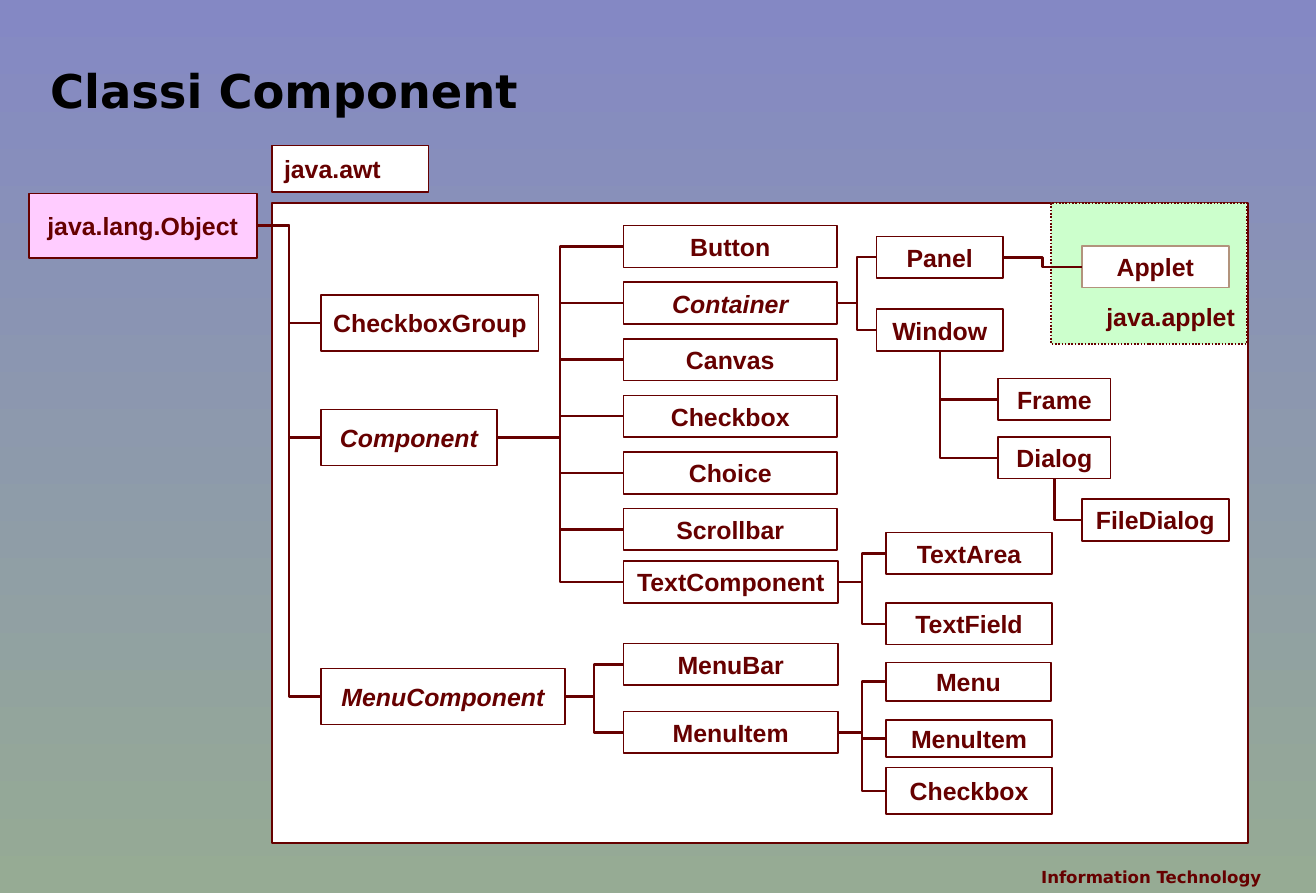
import dataclasses

import pptx
import pptx.dml.color
import pptx.enum.dml
import pptx.enum.shapes
import pptx.enum.text
import pptx.oxml.ns
import pptx.util
from lxml import etree

Inches = pptx.util.Inches
Points = pptx.util.Pt
Align = pptx.enum.text.PP_ALIGN
Anchor = pptx.enum.text.MSO_ANCHOR
RIGHT_SITE, BOTTOM_SITE, LEFT_SITE = 3, 2, 1


@dataclasses.dataclass(frozen=True)
class Theme:
    sky: str = "8488C4"
    sage: str = "96AB94"
    ink: str = "660000"
    black: str = "000000"
    white: str = "FFFFFF"
    pink: str = "FFCCFF"
    mint: str = "CCFFCC"
    tan: str = "B2937C"
    label_font: str = "Arial"
    heading_font: str = "DejaVu Sans"
    title_size: int = 28
    label_size: int = 15
    footer_size: int = 10
    box_line: float = 1
    link_line: float = 1.5


@dataclasses.dataclass
class ClassNode:
    name: str
    bounds: tuple
    children: list = dataclasses.field(default_factory=list)
    abstract: bool = False
    fill: str = Theme.white
    line: str = Theme.ink
    from_bottom: bool = False


def color(value):
    return pptx.dml.color.RGBColor.from_string(value)


def set_format(target, values):
    for name, value in values.items():
        setattr(target, name, value)


class Diagram:
    def __init__(self, slide, theme):
        self.slide = slide
        self.theme = theme

    def background(self):
        fill = self.slide.background.fill
        fill.gradient()
        fill.gradient_angle = 270
        for stop, value in zip(fill.gradient_stops, (self.theme.sky, self.theme.sage)):
            stop.color.rgb = color(value)

    def label(self, shape, text, frame_format, align=Align.CENTER, spacing=None, **font):
        set_format(shape.text_frame, frame_format)
        paragraph = shape.text_frame.paragraphs[0]
        set_format(paragraph, {"alignment": align, "line_spacing": spacing})
        run = paragraph.add_run()
        run.text = text
        run.font.color.rgb = color(font.pop("ink", self.theme.ink))
        set_format(run.font, {"name": self.theme.label_font, "bold": True,
                              "size": Points(self.theme.label_size), **font})

    def heading(self, bounds, text, size, insets=0, anchor=Anchor.TOP, **style):
        shape = self.slide.shapes.add_textbox(*map(Inches, bounds))
        frame_format = {"word_wrap": True, "vertical_anchor": anchor,
                        "margin_left": 0, "margin_right": 0,
                        "margin_top": Inches(insets), "margin_bottom": Inches(insets)}
        self.label(shape, text, frame_format, size=Points(size),
                   name=self.theme.heading_font, **style)

    def box(self, bounds, text="", fill=Theme.white, line=Theme.ink, dash=None,
            anchor=Anchor.MIDDLE, bottom=0.05, **style):
        shape = self.slide.shapes.add_shape(
            pptx.enum.shapes.MSO_SHAPE.RECTANGLE, *map(Inches, bounds))
        shape.shadow.inherit = False
        shape.fill.solid()
        shape.fill.fore_color.rgb = color(fill)
        shape.line.color.rgb = color(line)
        set_format(shape.line, {"width": Points(self.theme.box_line), "dash_style": dash})
        if text:
            frame_format = {"word_wrap": False, "vertical_anchor": anchor,
                            "margin_bottom": Inches(bottom)}
            self.label(shape, text, frame_format, **style)
        return shape

    def link(self, parent, child, from_bottom):
        connector = self.slide.shapes.add_connector(
            pptx.enum.shapes.MSO_CONNECTOR.ELBOW, 0, 0, Inches(1), Inches(1))
        connector.begin_connect(parent, BOTTOM_SITE if from_bottom else RIGHT_SITE)
        connector.end_connect(child, LEFT_SITE)
        connector.line.color.rgb = color(self.theme.ink)
        connector.line.width = Points(self.theme.link_line)
        properties = connector._element.spPr
        etree.SubElement(properties, pptx.oxml.ns.qn("a:effectLst"))
        if from_bottom:
            self.turn_down(connector, properties)

    def turn_down(self, connector, properties):
        # A single bend is a quarter-turned, mirrored shape with its sides swapped
        width, height = connector.width, connector.height
        shift = (width - height) // 2
        set_format(connector, {"left": connector.left + shift, "top": connector.top - shift,
                               "width": height, "height": width})
        transform = properties.find(pptx.oxml.ns.qn("a:xfrm"))
        transform.set("rot", "16200000")
        transform.set("flipH", "1")
        properties.find(pptx.oxml.ns.qn("a:prstGeom")).set("prst", "bentConnector2")

    def tree(self, node):
        shape = self.box(node.bounds, node.name, node.fill, node.line, italic=node.abstract)
        for child in node.children:
            self.link(shape, self.tree(child), node.from_bottom)
        return shape


def class_tree(theme):
    # Column of direct subclasses of Component, evenly spaced
    first_top, last_top = 1.89, 4.26
    names = ["Button", "Container", "Canvas", "Checkbox", "Choice", "Scrollbar"]
    step = (last_top - first_top) / (len(names) - 1)
    widgets = [ClassNode(name, (5.22, first_top + step * row, 1.79, 0.35))
               for row, name in enumerate(names)]

    # Containers and windows
    file_dialog = ClassNode("FileDialog", (9.06, 4.18, 1.23, 0.35))
    window = ClassNode("Window", (7.34, 2.59, 1.06, 0.35), [
        ClassNode("Frame", (8.36, 3.17, 0.94, 0.35)),
        ClassNode("Dialog", (8.36, 3.66, 0.94, 0.35), [file_dialog], from_bottom=True),
    ], from_bottom=True)
    applet = ClassNode("Applet", (9.06, 2.06, 1.23, 0.35), line=theme.tan)
    panel = ClassNode("Panel", (7.34, 1.98, 1.06, 0.35), [applet])
    set_format(widgets[names.index("Container")],
               {"abstract": True, "children": [panel, window]})

    # Text and menu classes
    text_component = ClassNode("TextComponent", (5.22, 4.7, 1.8, 0.35), [
        ClassNode("TextArea", (7.42, 4.46, 1.39, 0.35)),
        ClassNode("TextField", (7.42, 5.05, 1.39, 0.35)),
    ])
    menu_item = ClassNode("MenuItem", (5.22, 5.96, 1.8, 0.35), [
        ClassNode("Menu", (7.42, 5.55, 1.38, 0.32)),
        ClassNode("MenuItem", (7.42, 6.03, 1.39, 0.31)),
        ClassNode("Checkbox", (7.42, 6.43, 1.39, 0.39)),
    ])
    menu_bar = ClassNode("MenuBar", (5.22, 5.39, 1.8, 0.35))

    return ClassNode("java.lang.Object", (0.24, 1.62, 1.91, 0.54), [
        ClassNode("CheckboxGroup", (2.69, 2.47, 1.82, 0.47)),
        ClassNode("Component", (2.69, 3.43, 1.47, 0.47),
                  widgets + [text_component], abstract=True),
        ClassNode("MenuComponent", (2.69, 5.6, 2.04, 0.47),
                  [menu_bar, menu_item], abstract=True),
    ], fill=theme.pink)


def main():
    theme = Theme()
    presentation = pptx.Presentation()
    set_format(presentation, {"slide_width": Inches(11.02), "slide_height": Inches(7.48)})
    diagram = Diagram(presentation.slides.add_slide(presentation.slide_layouts[6]), theme)

    # Background, title and footer
    diagram.background()
    diagram.heading((0.42, 0.59, 10.18, 0.4), "Classi Component", theme.title_size,
                    align=Align.LEFT, spacing=0.85, ink=theme.black)
    diagram.heading((7.09, 7.21, 3.47, 0.27), "Information Technology", theme.footer_size,
                    insets=0.05, anchor=Anchor.BOTTOM, align=Align.RIGHT)

    # Packages
    diagram.box((2.28, 1.7, 8.17, 5.36))
    diagram.box((2.28, 1.22, 1.31, 0.39), "java.awt", align=Align.LEFT)
    diagram.box((8.8, 1.7, 1.64, 1.18), "java.applet", theme.mint,
                dash=pptx.enum.dml.MSO_LINE.ROUND_DOT, anchor=Anchor.BOTTOM,
                bottom=0.1, align=Align.RIGHT)

    # Class hierarchy
    diagram.tree(class_tree(theme))
    presentation.save("out.pptx")


if __name__ == "__main__":
    main()
